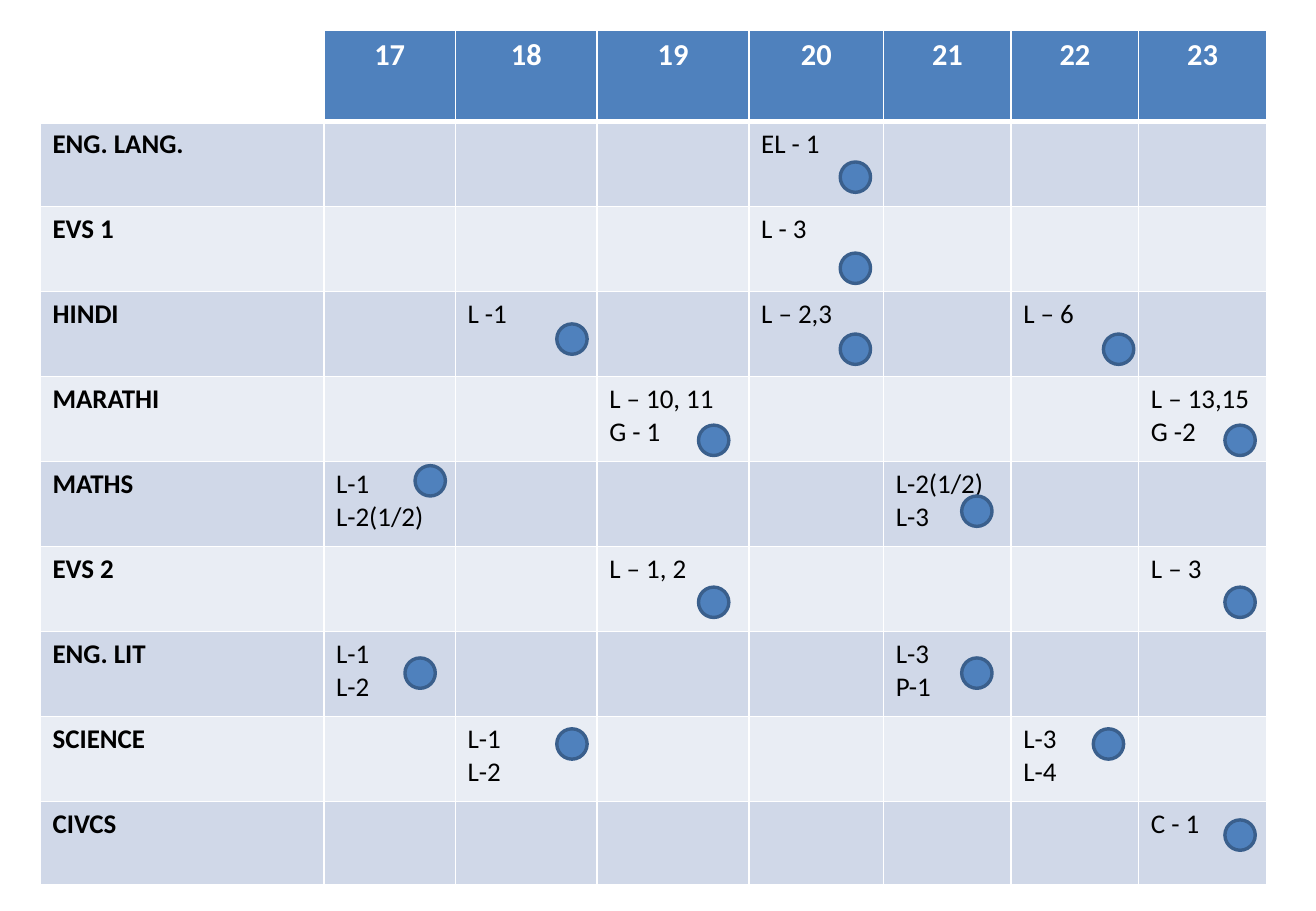
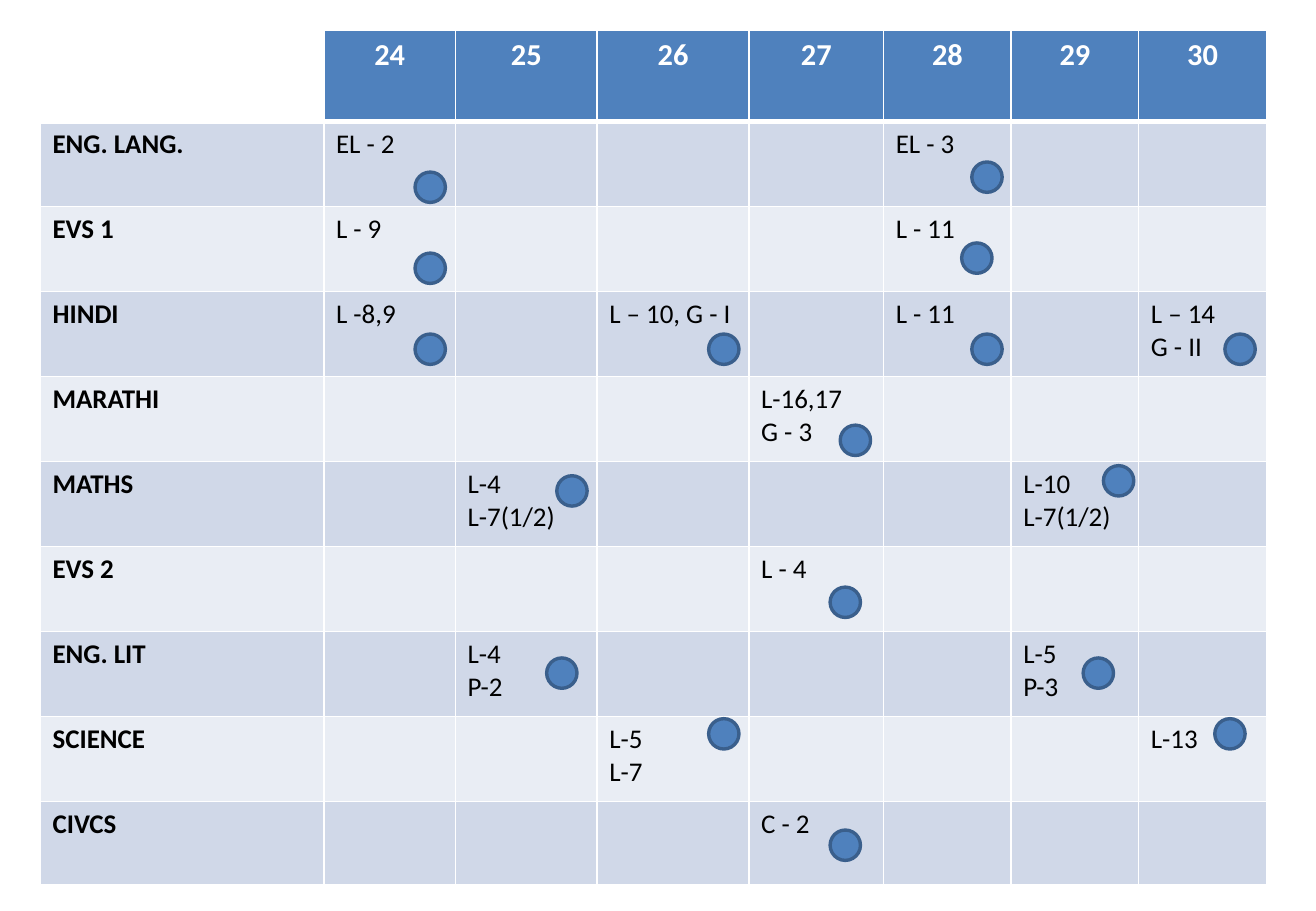
from pptx import Presentation
from pptx.dml.color import RGBColor
from pptx.enum.shapes import MSO_SHAPE
from pptx.enum.text import PP_ALIGN
from pptx.oxml.ns import qn
from pptx.util import Pt
from lxml.etree import SubElement

PX = 7620  # EMU in one px, 120 px to the inch
WHITE = RGBColor(0xFF, 0xFF, 0xFF)
BLACK = RGBColor(0x00, 0x00, 0x00)
BLUE = RGBColor(0x4F, 0x81, 0xBD)
DARK_BLUE = RGBColor(0x3A, 0x5F, 0x8C)
BANDS = [RGBColor(0xD0, 0xD8, 0xE8), RGBColor(0xE9, 0xED, 0xF4)]
FONT = "Calibri"

TABLE_LEFT, TABLE_TOP = 40, 30
COLUMN_WIDTHS = [280, 130, 140, 150, 133, 126, 126, 126]
ROW_HEIGHTS = [90] + [84] * 8 + [82]
DOT_SIZE = 30
SUBJECTS = ["ENG. LANG.", "EVS 1", "HINDI", "MARATHI", "MATHS",
            "EVS 2", "ENG. LIT", "SCIENCE", "CIVCS"]

# First day of each week, then its entries: subject, day, lessons, dot left, dot top
WEEKS = [
    (17, [
        ("ENG. LANG.", 20, "EL - 1", 830, 160),
        ("EVS 1", 20, "L - 3", 830, 250),
        ("HINDI", 18, "L -1", 550, 320),
        ("HINDI", 20, "L – 2,3", 830, 330),
        ("HINDI", 22, "L – 6", 1090, 330),
        ("MARATHI", 19, "L – 10, 11\nG - 1", 690, 420),
        ("MARATHI", 23, "L – 13,15\nG -2", 1210, 420),
        ("MATHS", 17, "L-1\nL-2(1/2)", 410, 460),
        ("MATHS", 21, "L-2(1/2)\nL-3", 950, 490),
        ("EVS 2", 19, "L – 1, 2", 690, 580),
        ("EVS 2", 23, "L – 3", 1210, 580),
        ("ENG. LIT", 17, "L-1\nL-2", 400, 650),
        ("ENG. LIT", 21, "L-3\nP-1", 950, 650),
        ("SCIENCE", 18, "L-1\nL-2", 550, 720),
        ("SCIENCE", 22, "L-3\nL-4", 1080, 720),
        ("CIVCS", 23, "C - 1", 1210, 810),
    ]),
    (24, [
        ("ENG. LANG.", 24, "EL - 2", 410, 170),
        ("ENG. LANG.", 28, "EL - 3", 960, 160),
        ("EVS 1", 24, "L - 9", 410, 250),
        ("EVS 1", 28, "L - 11", 950, 240),
        ("HINDI", 24, "L -8,9", 410, 330),
        ("HINDI", 26, "L – 10, G - I", 700, 330),
        ("HINDI", 28, "L - 11", 960, 330),
        ("HINDI", 30, "L – 14\nG - II", 1210, 330),
        ("MARATHI", 27, "L-16,17\nG - 3", 830, 420),
        ("MATHS", 25, "L-4\nL-7(1/2)", 550, 470),
        ("MATHS", 29, "L-10\nL-7(1/2)", 1090, 460),
        ("EVS 2", 27, "L - 4", 820, 580),
        ("ENG. LIT", 25, "L-4\nP-2", 540, 650),
        ("ENG. LIT", 29, "L-5\nP-3", 1070, 650),
        ("SCIENCE", 26, "L-5\nL-7", 700, 710),
        ("SCIENCE", 30, "L-13", 1200, 710),
        ("CIVCS", 27, "C - 2", 820, 820),
    ]),
]


def write_text(frame, text, size=16, color=BLACK, bold=False, align=PP_ALIGN.LEFT):
    frame.text = text
    for para in frame.paragraphs:
        para.alignment = align
        para.font.size = Pt(size)
        for span in para.runs:
            span.font.name = FONT
            span.font.size = Pt(size)
            span.font.bold = bold
            span.font.color.rgb = color


def style_cell(cell, fill, top=1, bottom=1):
    """Draw white borders, then the fill, in the order the schema asks for."""
    properties = cell._tc.get_or_add_tcPr()
    for tag, points in (("a:lnL", 1), ("a:lnR", 1), ("a:lnT", top), ("a:lnB", bottom)):
        line = SubElement(properties, qn(tag), w=str(Pt(points)))
        solid = SubElement(line, qn("a:solidFill"))
        SubElement(solid, qn("a:srgbClr"), val=str(WHITE))
    cell.fill.solid()
    cell.fill.fore_color.rgb = fill


def add_timetable(page, first_day, entries):
    table = page.shapes.add_table(
        len(ROW_HEIGHTS), len(COLUMN_WIDTHS), TABLE_LEFT * PX, TABLE_TOP * PX,
        sum(COLUMN_WIDTHS) * PX, sum(ROW_HEIGHTS) * PX).table
    table.first_row = table.horz_banding = False
    for column, width in zip(table.columns, COLUMN_WIDTHS):
        column.width = width * PX
    for row, height in zip(table.rows, ROW_HEIGHTS):
        row.height = height * PX

    for index, cell in enumerate(table.rows[0].cells):
        style_cell(cell, BLUE if index else WHITE, bottom=3)
        if index:
            write_text(cell.text_frame, str(first_day + index - 1), size=18,
                       color=WHITE, bold=True, align=PP_ALIGN.CENTER)
    for index, subject in enumerate(SUBJECTS):
        for cell in table.rows[index + 1].cells:
            style_cell(cell, BANDS[index % 2], top=1 if index else 3)
        write_text(table.cell(index + 1, 0).text_frame, subject, bold=True)
    for subject, day, lessons, *_ in entries:
        cell = table.cell(SUBJECTS.index(subject) + 1, day - first_day + 1)
        write_text(cell.text_frame, lessons)


def add_dot(page, left, top):
    dot = page.shapes.add_shape(MSO_SHAPE.OVAL, left * PX, top * PX,
                                DOT_SIZE * PX, DOT_SIZE * PX)
    dot.shadow.inherit = False
    dot.fill.solid()
    dot.fill.fore_color.rgb = BLUE
    dot.line.color.rgb = DARK_BLUE
    dot.line.width = Pt(2)


def main():
    deck = Presentation()
    deck.slide_width, deck.slide_height = 1300 * PX, 900 * PX
    for first_day, entries in WEEKS:
        page = deck.slides.add_slide(deck.slide_layouts[6])
        add_timetable(page, first_day, entries)
        for *_, left, top in entries:
            add_dot(page, left, top)
    deck.save("out.pptx")


if __name__ == "__main__":
    main()
